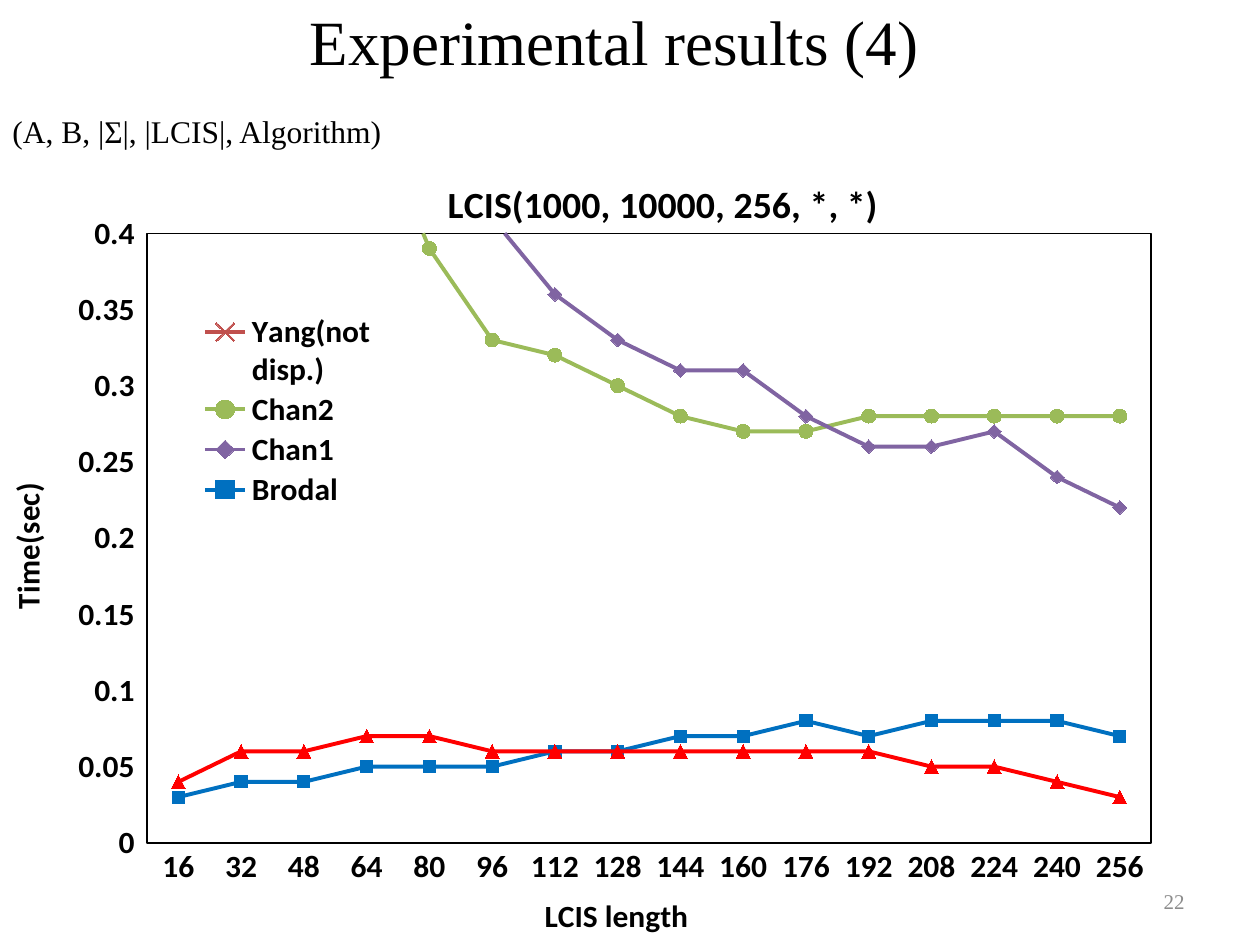
"""Build the slide that plots running time against LCIS length."""
from dataclasses import dataclass

from lxml import etree
from pptx import Presentation
from pptx import util as u
from pptx.chart.data import CategoryChartData
from pptx.dml.color import RGBColor
from pptx.enum import chart as ch, text
from pptx.oxml import parse_xml
from pptx.oxml.ns import nsdecls, qn

WIDTH, HEIGHT = u.Inches(10), u.Inches(7.5)
COLUMNS, ROWS = 100, 150
SERIF, SANS = "Times New Roman", "Calibri"
COLORS = {"black": "000000", "gray": "8C8C8C", "red": "C0504D", "green": "9BBB59",
          "purple": "8064A2", "blue": "0070C0", "bright": "FF0000"}
MARK = ch.XL_MARKER_STYLE


@dataclass
class Box:
    """A place on the slide grid, in columns and rows."""
    col: float
    row: float
    cols: float
    rows: float

    def emu(self) -> tuple:
        """Return left, top, width and height as lengths."""
        return (int(self.col * WIDTH / COLUMNS), int(self.row * HEIGHT / ROWS),
                int(self.cols * WIDTH / COLUMNS), int(self.rows * HEIGHT / ROWS))


@dataclass
class Curve:
    """One algorithm, its look and its times in seconds."""
    name: str
    color: str
    marker: MARK
    size: int
    values: tuple


CURVES = [
    Curve("Yang(not disp.)", "red", MARK.X, 8,
          (1.05, 1.14, 1.22, 1.36, 1.41, 1.44, 1.47, 1.48,
           1.5, 1.54, 1.67, 1.63, 1.74, 1.75, 1.79, 1.84)),
    Curve("Chan2", "green", MARK.CIRCLE, 8,
          (1.64, 0.97, 0.63, 0.49, 0.39, 0.33, 0.32, 0.3,
           0.28, 0.27, 0.27, 0.28, 0.28, 0.28, 0.28, 0.28)),
    Curve("Chan1", "purple", MARK.DIAMOND, 8,
          (1.9, 1.15, 0.75, 0.58, 0.46, 0.41, 0.36, 0.33,
           0.31, 0.31, 0.28, 0.26, 0.26, 0.27, 0.24, 0.22)),
    Curve("Brodal", "blue", MARK.SQUARE, 7,
          (0.03, 0.04, 0.04, 0.05, 0.05, 0.05, 0.06, 0.06,
           0.07, 0.07, 0.08, 0.07, 0.08, 0.08, 0.08, 0.07)),
    Curve("Ours", "bright", MARK.TRIANGLE, 8,
          (0.04, 0.06, 0.06, 0.07, 0.07, 0.06, 0.06, 0.06,
           0.06, 0.06, 0.06, 0.06, 0.05, 0.05, 0.04, 0.03)),
]


def rgb(name: str) -> RGBColor:
    """Return a named colour."""
    return RGBColor.from_string(COLORS[name])


def style(font, size: float, face: str, color: str = "black", bold: bool = False) -> None:
    """Format a font."""
    font.size, font.name, font.bold = u.Pt(size), face, bold
    font.color.rgb = rgb(color)


def write(sp, words: str, size: float, align, anchor, color: str = "black") -> None:
    """Put one formatted line of text into a shape."""
    tf = sp.text_frame
    tf.vertical_anchor = anchor
    p = tf.paragraphs[0]
    p.alignment = align
    r = p.add_run()
    r.text = words
    style(r.font, size, SERIF, color)


def layout_xml(x: float, y: float, w: float = 0, h: float = 0, inner: bool = False):
    """Make a manual layout in shares of the chart's size."""
    tags = [("layoutTarget", "inner")] if inner else []
    tags += [("xMode", "edge"), ("yMode", "edge"), ("x", x), ("y", y)]
    tags += [("w", w), ("h", h)] if w else []
    body = "".join(f'<c:{tag} val="{val}"/>' for tag, val in tags)
    return parse_xml(f'<c:layout {nsdecls("c")}><c:manualLayout>{body}</c:manualLayout></c:layout>')


def put_layout(parent, after: str, layout) -> None:
    """Replace the layout of a chart part, following the given child if any."""
    for old in parent.findall(qn("c:layout")):
        parent.remove(old)
    if after:
        parent.findall(qn(after))[-1].addnext(layout)
    else:
        parent.insert(0, layout)


def write_title(title, words: str, size: float, x: float, y: float, turned: bool = False) -> None:
    """Write a chart or axis title and set its place."""
    tf = title.text_frame
    r = tf.paragraphs[0].add_run()
    r.text = words
    style(r.font, size, SANS, bold=True)
    if turned:
        body = title._element.find(".//" + qn("a:bodyPr"))
        body.set("rot", "-5400000")
        body.set("vert", "horz")
    put_layout(title._element, "c:tx", layout_xml(x, y))


def draw_curve(series, curve: Curve) -> None:
    """Format the line and markers of a series."""
    series.smooth = False
    series.format.line.color.rgb = rgb(curve.color)
    series.format.line.width = u.Pt(2.25)
    marker = series.marker
    marker.style, marker.size = curve.marker, curve.size
    marker.format.line.color.rgb = rgb(curve.color)
    if curve.marker == MARK.X:
        marker.format.fill.background()
    else:
        marker.format.fill.solid()
        marker.format.fill.fore_color.rgb = rgb(curve.color)


def draw_axes(chart) -> None:
    """Format both axes and frame the plot."""
    cat, val = chart.category_axis, chart.value_axis
    val.minimum_scale, val.maximum_scale, val.major_unit = 0, 0.4, 0.05
    val.has_major_gridlines = cat.has_major_gridlines = False
    cat.major_tick_mark = ch.XL_TICK_MARK.NONE
    val.major_tick_mark = ch.XL_TICK_MARK.OUTSIDE
    cat.format.line.color.rgb = rgb("black")
    cat.format.line.width = u.Pt(0.75)
    val.format.line.fill.background()
    for axis in (cat, val):
        style(axis.tick_labels.font, 18, SANS, bold=True)
    write_title(cat.axis_title, "LCIS length", 18, 0.44, 0.95)
    write_title(val.axis_title, "Time(sec)", 18, 0, 0.42, turned=True)
    area = chart._chartSpace.chart.plotArea
    put_layout(area, "", layout_xml(0.12, 0.1, 0.82, 0.79, inner=True))
    area.append(parse_xml(
        f'<c:spPr {nsdecls("c", "a")}><a:noFill/><a:ln w="{u.Pt(1)}"><a:solidFill>'
        f'<a:srgbClr val="{COLORS["black"]}"/></a:solidFill></a:ln></c:spPr>'))


def draw_legend(chart) -> None:
    """Place the legend inside the plot, without the last curve."""
    chart.has_legend = True
    legend = chart.legend
    legend.position = ch.XL_LEGEND_POSITION.RIGHT
    legend.include_in_layout = False
    style(legend.font, 18, SANS, bold=True)
    entry = etree.Element(qn("c:legendEntry"))
    etree.SubElement(entry, qn("c:idx")).set("val", str(len(CURVES) - 1))
    etree.SubElement(entry, qn("c:delete")).set("val", "1")
    legend._element.find(qn("c:legendPos")).addnext(entry)
    put_layout(legend._element, "c:legendEntry", layout_xml(0.15, 0.2, 0.17, 0.26))


def draw_chart(s, box: Box) -> None:
    """Add the line chart of all curves."""
    data = CategoryChartData()
    data.categories = [str(16 * n) for n in range(1, 17)]
    for curve in CURVES:
        data.add_series(curve.name, curve.values)
    chart = s.shapes.add_chart(ch.XL_CHART_TYPE.LINE_MARKERS, *box.emu(), data).chart
    style(chart.font, 18, SANS, bold=True)
    chart.plots[0].vary_by_categories = False
    chart.has_title = True
    write_title(chart.chart_title, "LCIS(1000, 10000, 256, *, *)", 21.6, 0.36, 0.02)
    draw_axes(chart)
    draw_legend(chart)
    for series, curve in zip(chart.plots[0].series, CURVES):
        draw_curve(series, curve)


def main() -> None:
    """Build and save the slide."""
    prs = Presentation()
    prs.slide_width, prs.slide_height = WIDTH, HEIGHT
    s = prs.slides.add_slide(prs.slide_layouts[5])
    title = s.shapes.title
    title.left, title.top, title.width, title.height = Box(5, 1, 90, 10.8).emu()
    title.text_frame.margin_right = u.Inches(0.35)
    write(title, "Experimental results (4)", 36, text.PP_ALIGN.CENTER, text.MSO_ANCHOR.MIDDLE)
    number = s.shapes.add_textbox(*Box(71.7, 139, 23.3, 8).emu())
    number.text_frame.word_wrap = True
    write(number, "22", 12, text.PP_ALIGN.RIGHT, text.MSO_ANCHOR.MIDDLE, "gray")
    caption = s.shapes.add_textbox(*Box(0, 16.8, 31.4, 8).emu())
    caption.text_frame.word_wrap = False
    write(caption, "(A, B, |Σ|, |LCIS|, Algorithm)", 18, text.PP_ALIGN.LEFT, text.MSO_ANCHOR.TOP)
    draw_chart(s, Box(0, 24.8, 97.2, 125.2))
    prs.save("out.pptx")


if __name__ == "__main__":
    main()
